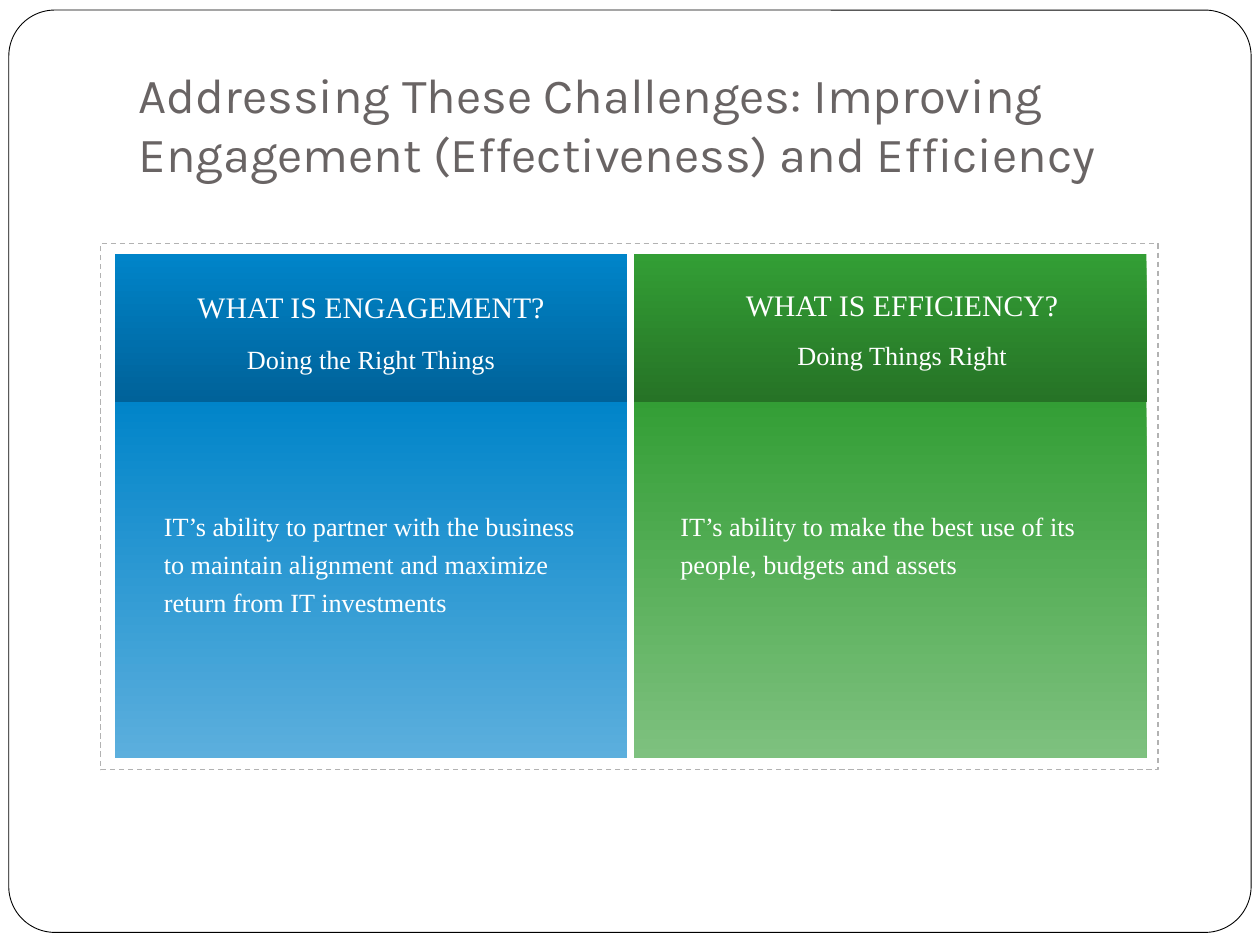
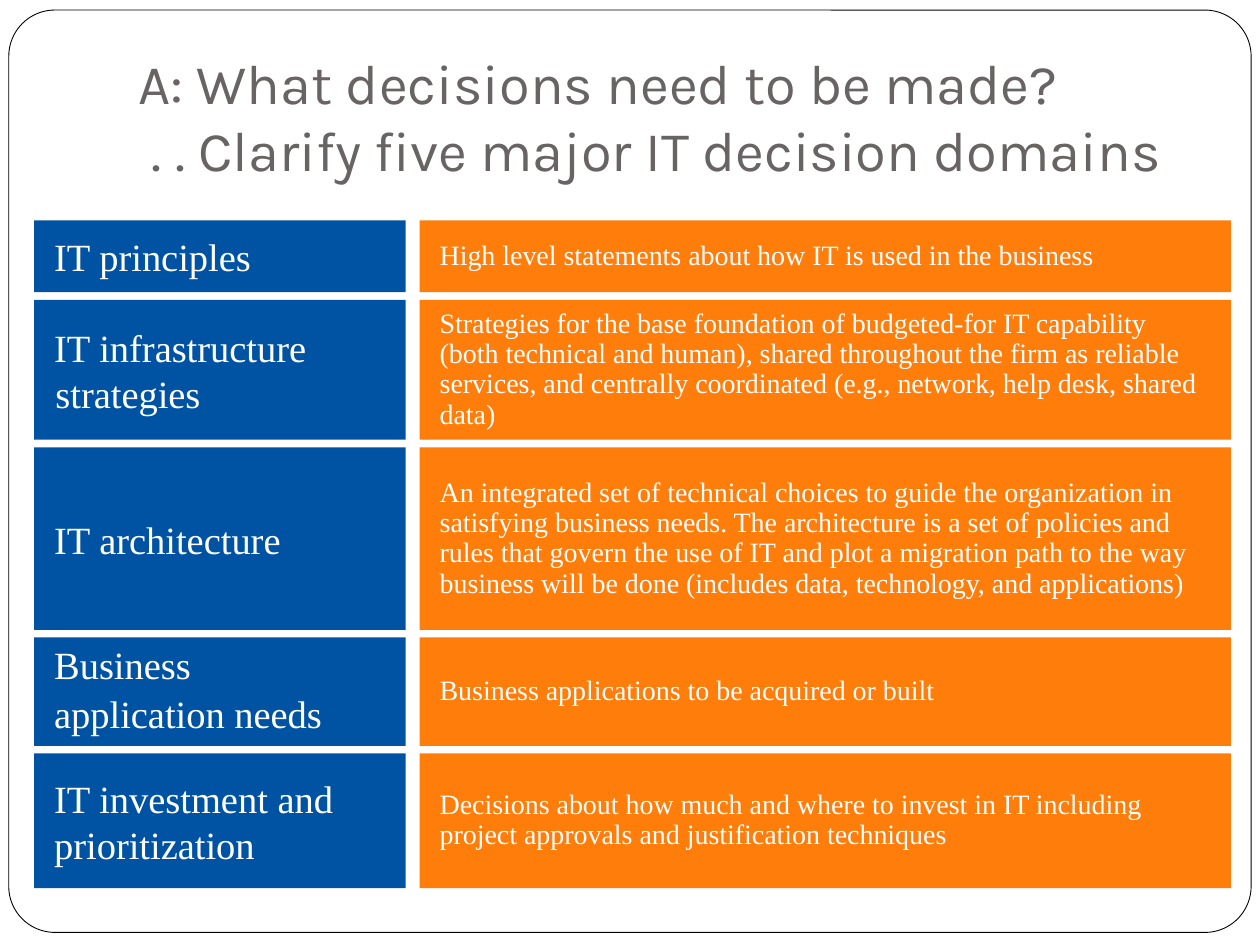
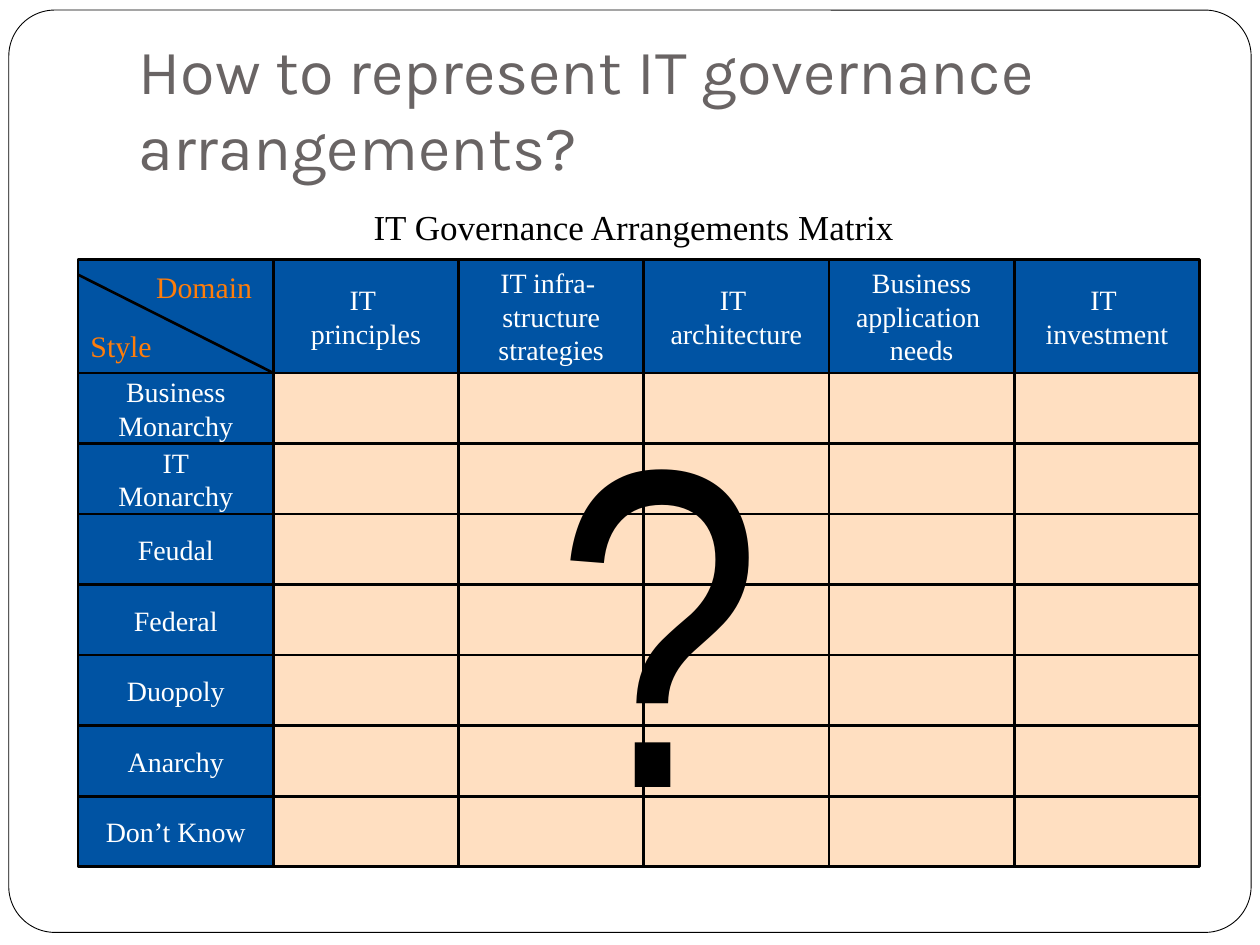
from lxml import etree
from pptx import Presentation, util as u
from pptx.dml.color import RGBColor
from pptx.enum import dml, shapes, text
from pptx.oxml import ns

WHITE = RGBColor(0xFF, 0xFF, 0xFF)
BLACK = RGBColor(0, 0, 0)
GREY = RGBColor(0x69, 0x64, 0x64)
DASH_GREY = RGBColor(0xB2, 0xB2, 0xB2)
NAVY = RGBColor(0, 0x53, 0xA3)
ORANGE = RGBColor(0xFF, 0x7D, 0x0A)
PEACH = RGBColor(0xFF, 0xDF, 0xC1)
BLUE = RGBColor(0, 0x84, 0xC9)
BLUE_DARK = RGBColor(0, 0x62, 0x99)
BLUE_LIGHT = RGBColor(0x5C, 0xAF, 0xDD)
GREEN = RGBColor(0x33, 0x9E, 0x35)
GREEN_DARK = RGBColor(0x26, 0x73, 0x26)
GREEN_LIGHT = RGBColor(0x7E, 0xC1, 0x7F)

SERIF = "Times New Roman"
LEFT, CENTER, RIGHT = text.PP_ALIGN.LEFT, text.PP_ALIGN.CENTER, text.PP_ALIGN.RIGHT
TOP, MIDDLE, BOTTOM = text.MSO_ANCHOR.TOP, text.MSO_ANCHOR.MIDDLE, text.MSO_ANCHOR.BOTTOM
PLAIN_INSETS = (0.1, 0.05, 0.1, 0.05)
NO_INSETS = (0, 0, 0, 0)

PANELS_TITLE = "Addressing These Challenges: Improving Engagement (Effectiveness) and Efficiency"
PANELS = [
    dict(left=0.91, text_left=1.3, text_width=3.29, hanging=0.13, spacing=1.1,
         colors=(BLUE, BLUE_DARK, BLUE_LIGHT),
         question="WHAT IS ENGAGEMENT?", answer="Doing the Right Things",
         detail="IT’s ability to partner with the business to maintain alignment "
                "and maximize return from IT investments"),
    dict(left=5.03, text_left=5.4, text_width=3.52, hanging=0, spacing=1.05,
         colors=(GREEN, GREEN_DARK, GREEN_LIGHT),
         question="WHAT IS EFFICIENCY?", answer="Doing Things Right",
         detail="IT’s ability to make the best use of its people, budgets and assets"),
]

DOMAINS_TITLE = "A: What decisions need to be made? \n . . Clarify five major IT decision domains"
DOMAINS = [
    (0.57, ["IT principles"], dict(hanging=0.26, before=20),
     "High level statements about how IT is used in the business"),
    (1.11, ["IT infrastructure strategies"], dict(hanging=0.01, before=20),
     "Strategies for the base foundation of budgeted-for IT capability (both technical "
     "and human), shared throughout the firm as reliable services, and centrally "
     "coordinated (e.g., network, help desk, shared data)"),
    (1.45, ["IT architecture"], dict(hanging=0.26, before=20),
     "An integrated set of technical choices to guide the organization in satisfying "
     "business needs. The architecture is a set of policies and rules that govern the use "
     "of IT and plot a migration path to the way business will be done (includes data, "
     "technology, and applications)"),
    (0.86, ["Business", "application needs"], dict(hanging=0.26, before=20, spacing=0.9),
     "Business applications to be acquired or built"),
    (1.07, ["IT investment and prioritization"], {},
     "Decisions about how much and where to invest in IT including project approvals "
     "and justification techniques"),
]

MATRIX_TITLE = "How to represent IT governance arrangements?"
MATRIX_CAPTION = "IT Governance Arrangements Matrix"
MATRIX_COLUMNS = [["IT \nprinciples"], ["IT infra- \nstructure", "strategies"],
                  ["IT \narchitecture"], ["Business", "application \nneeds"],
                  ["IT \ninvestment"]]
MATRIX_ROWS = [["Business", "Monarchy"], ["IT", "Monarchy"], ["Feudal"], ["Federal"],
               ["Duopoly"], ["Anarchy"], ["Don’t Know"]]


def inches(*lengths):
    return [u.Inches(length) for length in lengths]


def write(box, lines, size, color=WHITE, font=SERIF, align=LEFT, anchor=TOP,
          insets=PLAIN_INSETS, wrap=True, spacing=None, before=0, hanging=0):
    frame = box.text_frame
    frame.auto_size = text.MSO_AUTO_SIZE.NONE
    frame.word_wrap = wrap
    frame.vertical_anchor = anchor
    (frame.margin_left, frame.margin_top,
     frame.margin_right, frame.margin_bottom) = inches(*insets)
    sizes = size if isinstance(size, tuple) else (size,) * len(lines)
    for index, (line, points) in enumerate(zip(lines, sizes)):
        para = frame.paragraphs[0] if index == 0 else frame.add_paragraph()
        para.alignment = align
        if spacing:
            para.line_spacing = spacing
        properties = para._p.get_or_add_pPr()
        if before:
            gap = etree.SubElement(properties, ns.qn("a:spcBef"))
            etree.SubElement(gap, ns.qn("a:spcPct")).set("val", str(before * 1000))
        if hanging:
            properties.set("marL", str(u.Inches(hanging)))
            properties.set("indent", str(-u.Inches(hanging)))
        for number, part in enumerate(line.split("\n")):
            if number:
                para.add_line_break()
            span = para.add_run()
            span.text = part
            span.font.name = font
            span.font.size = u.Pt(points)
            span.font.color.rgb = color


def add_block(page, place, fill=None, line=None, width=1.5,
              kind=shapes.MSO_SHAPE.RECTANGLE):
    block = page.shapes.add_shape(kind, *inches(*place))
    block.shadow.inherit = False
    if fill is None:
        block.fill.background()
    elif isinstance(fill, RGBColor):
        block.fill.solid()
        block.fill.fore_color.rgb = fill
    else:
        block.fill.gradient()
        block.fill.gradient_angle = 270
        for stop, color in zip(block.fill.gradient_stops, fill):
            stop.color.rgb = color
    if line is None:
        block.line.fill.background()
    else:
        block.line.color.rgb = line
        block.line.width = u.Pt(width)
    return block


def add_label(page, place, lines, size, **style):
    write(page.shapes.add_textbox(*inches(*place)), lines, size, **style)


def add_page(deck, title, size):
    page = deck.slides.add_slide(deck.slide_layouts[5])
    box = page.shapes.title
    box.left, box.top, box.width, box.height = inches(1, 0.3, 8.5, 1.25)
    write(box, [title], size, color=GREY, font="Karla", anchor=BOTTOM,
          insets=(0.1, 0.05, 0.1, 0.1))
    return page


def add_shared_frame(deck, page):
    border = add_block(page, (0.07, 0.08, 9.86, 7.32), WHITE, BLACK, 0.5,
                       shapes.MSO_SHAPE.ROUNDED_RECTANGLE)
    border.adjustments[0] = 0.05
    deck.slide_layouts[5].placeholders[0].element.addprevious(border.element)


def build_panels(page):
    for panel in PANELS:
        top_color, header_end, body_end = panel["colors"]
        add_block(page, (panel["left"], 3.16, 4.07, 2.86), (top_color, body_end))
        add_block(page, (panel["left"], 2.02, 4.07, 1.17), (top_color, header_end))
        add_label(page, (panel["text_left"], 2.26, panel["text_width"], 0.7),
                  [panel["question"], panel["answer"]], (17, 15), align=CENTER,
                  insets=NO_INSETS, spacing=panel["spacing"], before=60,
                  hanging=panel["hanging"])
        add_label(page, (panel["text_left"], 4, panel["text_width"], 1.35),
                  [panel["detail"]], 15, insets=NO_INSETS, spacing=1.2)
    outline = add_block(page, (0.8, 1.93, 8.39, 4.18), line=DASH_GREY, width=0.75)
    outline.line.dash_style = dml.MSO_LINE.DASH


def build_domains(page):
    top, gap, insets = 1.75, 0.06, (0.16, 0.05, 0.16, 0.05)
    for height, name, style, meaning in DOMAINS:
        write(add_block(page, (0.27, top, 2.95, height), NAVY), name, 22,
              anchor=MIDDLE, insets=insets, **style)
        write(add_block(page, (3.33, top, 6.44, height), ORANGE), [meaning], 16,
              anchor=MIDDLE, insets=insets, spacing=0.9, before=20)
        top += height + gap


def build_matrix(page):
    left, top, name_width, header_height = 0.62, 2.06, 1.55, 0.9
    column_width, row_height = 1.47, 0.56
    grid_left, grid_top = left + name_width, top + header_height
    heading = dict(size=16, align=CENTER, anchor=MIDDLE, wrap=False)

    for column, name in enumerate(MATRIX_COLUMNS):
        column_left = grid_left + column * column_width
        write(add_block(page, (column_left, top, column_width, header_height),
                        NAVY, BLACK), name, **heading)
        for row in range(len(MATRIX_ROWS)):
            add_block(page, (column_left, grid_top + row * row_height,
                             column_width, row_height), PEACH, BLACK)
    for row, name in enumerate(MATRIX_ROWS):
        write(add_block(page, (left, grid_top + row * row_height, name_width, row_height),
                        NAVY, BLACK), name, **heading)

    add_block(page, (left, top, name_width, header_height), NAVY, BLACK)
    write(add_block(page, (0.93, 2.08, 1.17, 0.38), NAVY), ["Domain"], 17,
          color=ORANGE, align=RIGHT)
    add_label(page, (left, 2.55, 0.77, 0.38), ["Style"], 17, color=ORANGE, wrap=False)
    diagonal = page.shapes.add_connector(
        shapes.MSO_CONNECTOR.STRAIGHT, *inches(left, 2.18, grid_left, grid_top))
    diagonal.line.color.rgb = BLACK
    diagonal.line.width = u.Pt(1.5)
    etree.SubElement(diagonal.element.spPr, ns.qn("a:effectLst"))

    add_label(page, (4.07, 2.67, 2.32, 4.27), ["?"], 260, color=BLACK,
              font="Arial Narrow", align=CENTER, anchor=MIDDLE, wrap=False)
    add_label(page, (1, 1.58, 8.06, 0.43), [MATRIX_CAPTION], 20, color=BLACK, align=CENTER)


def main():
    deck = Presentation()
    deck.slide_width, deck.slide_height = inches(10, 7.5)
    pages = [(PANELS_TITLE, 28, build_panels), (DOMAINS_TITLE, 32, build_domains),
             (MATRIX_TITLE, 36, build_matrix)]
    for title, size, build in pages:
        build(add_page(deck, title, size))
    add_shared_frame(deck, deck.slides[0])
    deck.save("out.pptx")


if __name__ == "__main__":
    main()
